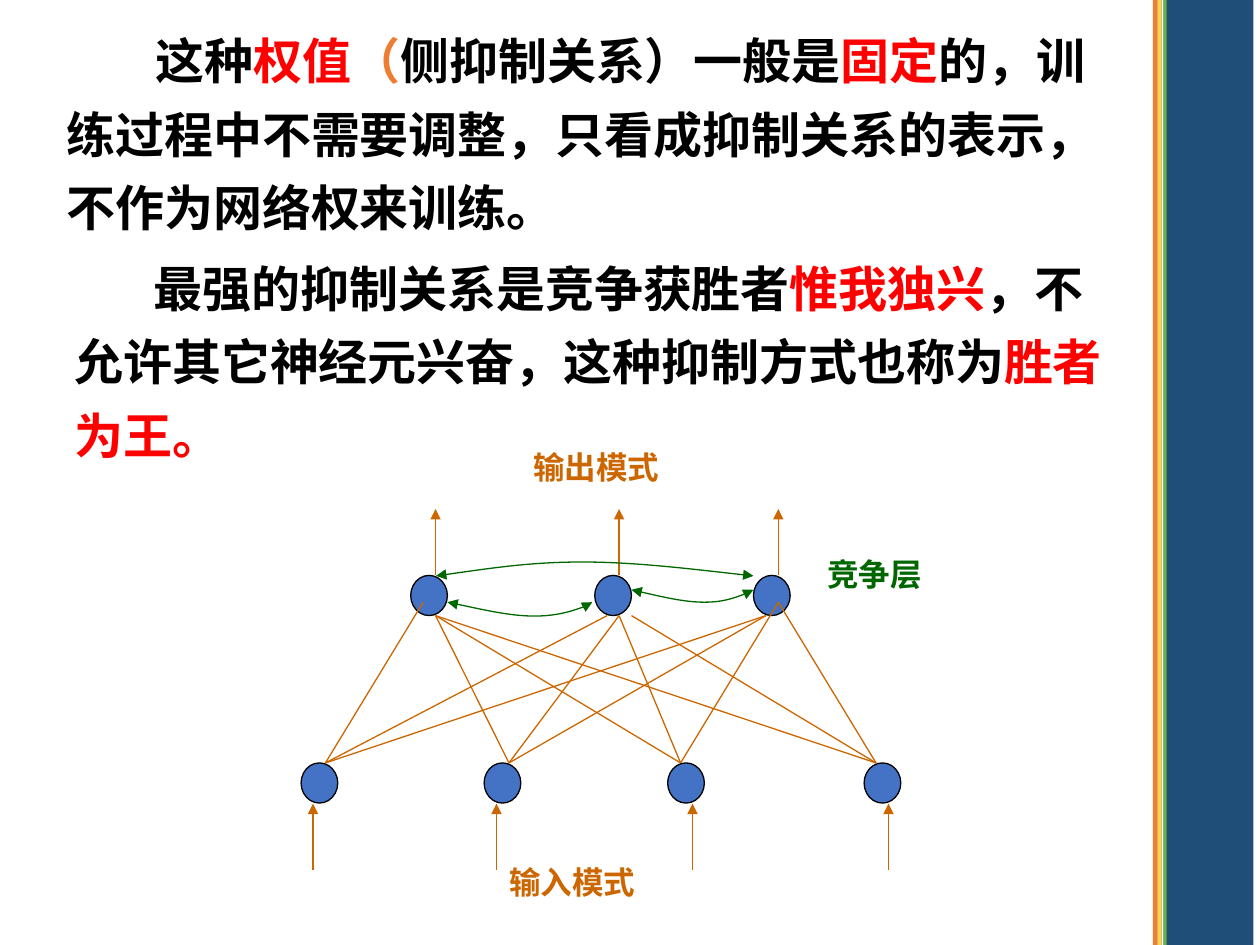
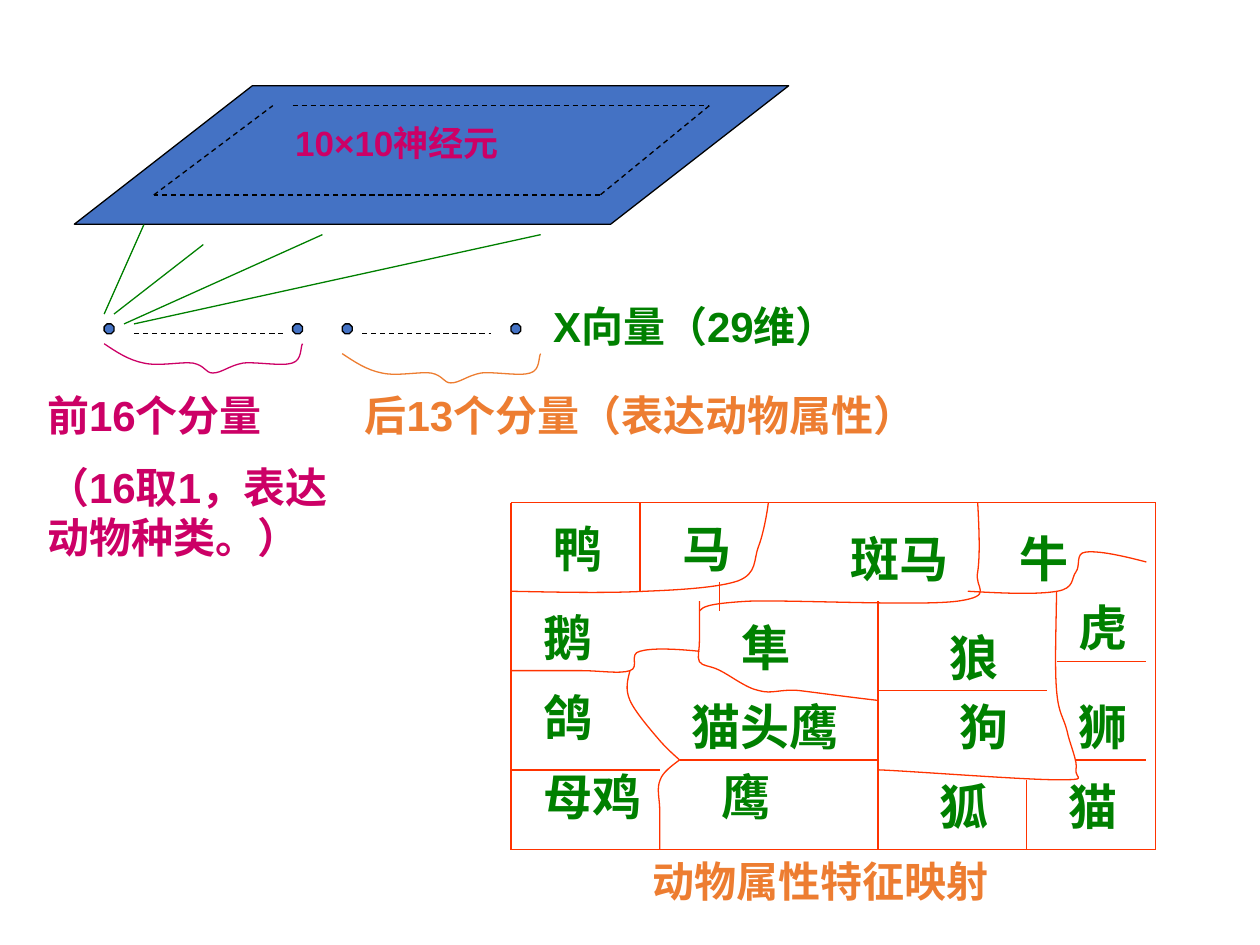
from dataclasses import dataclass
from itertools import pairwise

from pptx import Presentation
from pptx import util as u
from pptx.dml.color import RGBColor
from pptx.enum import dml, shapes, text
from pptx.oxml.ns import qn
from lxml import etree

# Shared colours, fonts and formats
BLACK, WHITE, RED, ORANGE = "000000", "FFFFFF", "FF0000", "ED7D31"
BLUE, BROWN, LEAF, GREEN = "4472C4", "CC6600", "006600", "008000"
PINK, BORDER = "CC0066", "FF3300"
LATIN, CJK = "Arial", "Noto Sans CJK SC"
LINE_WIDTH = u.Pt(0.75)

Point = tuple[float, float]


@dataclass
class Span:
    words: str
    color: str


@dataclass
class Label:
    words: str
    left: float
    top: float
    width: float
    size: int
    color: str
    height: float = 1.27


@dataclass
class Body:
    left: float
    top: float
    width: float
    indent: float
    spans: list[Span]


@dataclass
class Band:
    left: float
    width: float
    color: str


@dataclass
class Curve:
    points: list[Point]
    color: str
    arrows: tuple[str, ...] = ()


def rgb(value: str) -> RGBColor:
    return RGBColor.from_string(value)


# Drawing functions, all lengths in centimetres
def add_span(para, words: str, size: int, color: str, font: str) -> None:
    span = para.add_run()
    span.text = words
    for name, value in {"size": u.Pt(size), "bold": True, "name": font}.items():
        setattr(span.font, name, value)
    span.font.color.rgb = rgb(color)
    etree.SubElement(span.font._element, qn("a:ea")).set("typeface", CJK)


def add_box(page, left: float, top: float, width: float, height: float):
    box = page.shapes.add_textbox(u.Cm(left), u.Cm(top), u.Cm(width), u.Cm(height))
    frame = box.text_frame
    for name, value in {"word_wrap": True,
                        "auto_size": text.MSO_AUTO_SIZE.SHAPE_TO_FIT_TEXT}.items():
        setattr(frame, name, value)
    return frame


def draw_label(page, label: Label) -> None:
    frame = add_box(page, label.left, label.top, label.width, label.height)
    for number, words in enumerate(label.words.split("\n")):
        para = frame.add_paragraph() if number else frame.paragraphs[0]
        if number:
            para.space_before = u.Pt(label.size / 2)
        add_span(para, words, label.size, label.color, LATIN)


def draw_body(page, body: Body) -> None:
    para = add_box(page, body.left, body.top, body.width, 4.75).paragraphs[0]
    para.line_spacing = 1.25
    props = para._p.get_or_add_pPr()
    props.set("marL", "0")
    props.set("indent", str(u.Cm(body.indent)))
    for span in body.spans:
        add_span(para, span.words, 28, span.color, CJK)


def draw_shape(page, kind, left: float, top: float, width: float, height: float,
               fill: str, outline: str | None = None):
    shape = page.shapes.add_shape(kind, u.Cm(left), u.Cm(top), u.Cm(width), u.Cm(height))
    shape.shadow.inherit = False
    shape.fill.solid()
    shape.fill.fore_color.rgb = rgb(fill)
    if outline:
        style_line(shape, outline)
    else:
        shape.line.fill.background()
    return shape


def style_line(shape, color: str, arrows: tuple[str, ...] = (), dashed: bool = False) -> None:
    shape.line.width = LINE_WIDTH
    shape.line.color.rgb = rgb(color)
    if dashed:
        shape.line.dash_style = dml.MSO_LINE.DASH
    outline = shape._element.spPr.find(qn("a:ln"))
    for end in arrows:
        etree.SubElement(outline, qn(f"a:{end}")).set("type", "triangle")


def draw_line(page, start: Point, stop: Point, color: str,
              arrows: tuple[str, ...] = (), dashed: bool = False) -> None:
    ends = [u.Cm(value) for value in (*start, *stop)]
    line = page.shapes.add_connector(shapes.MSO_CONNECTOR.STRAIGHT, *ends)
    style_line(line, color, arrows, dashed)
    etree.SubElement(line._element.spPr, qn("a:effectLst"))


def draw_curve(page, curve: Curve) -> None:
    """Draw joined cubic curves: a start, then three points per part."""
    start, *rest = [(u.Cm(x), u.Cm(y)) for x, y in curve.points]
    builder = page.shapes.build_freeform(*start)
    builder.add_line_segments(rest, close=False)
    shape = builder.convert_to_shape()
    # Every three straight steps become one cubic step
    steps = list(shape._element.spPr.iter(qn("a:lnTo")))
    for first in range(0, len(steps), 3):
        cubic = etree.Element(qn("a:cubicBezTo"))
        steps[first].addprevious(cubic)
        for step in steps[first:first + 3]:
            cubic.append(step[0])
            step.getparent().remove(step)
    shape.shadow.inherit = False
    shape.fill.background()
    style_line(shape, curve.color, curve.arrows)


# Slide 1: competitive layer
BODIES = [
    Body(1.25, 4.79, 21.72, 1.6, [
        Span("最强的抑制关系是竞争获胜者", BLACK), Span("惟我独兴", RED),
        Span("，不允许其它神经元兴奋，这种抑制方式也称为", BLACK), Span("胜者为王。", RED)]),
    Body(1.09, 0.2, 21.92, 1.8, [
        Span("这种", BLACK), Span("权值", RED), Span("（", ORANGE),
        Span("侧抑制关系）一般是", BLACK), Span("固定", RED),
        Span("的，训练过程中不需要调整，只看成抑制关系的表示，不作为网络权来训练。", BLACK)]),
]
BANDS = [Band(23.34, 1.93, "1F4E79"), Band(23.24, 0.1, ORANGE), Band(23.34, 0.08, "FFD347"),
         Band(23.42, 0.1, "70AD47"), Band(23.42, 0.03, WHITE)]
NEURON_W, NEURON_H = 0.74, 0.81
OUT_TOP, IN_TOP = 11.6, 15.38
OUT_BASE = OUT_TOP + NEURON_H
OUT_NEURONS, IN_NEURONS = (8.28, 11.99, 15.19), (6.07, 9.76, 13.46, 17.42)
OUT_ARROWS, IN_ARROWS = (8.78, 12.48, 15.69), (6.31, 10.01, 13.96, 17.91)
LEFT, MIDDLE = [(x, OUT_BASE) for x in OUT_ARROWS[:2]]
RIGHT, RIGHT_INNER = (15.44, OUT_BASE), (15.69, 12.14)
WEIGHTS = {
    6.56: [(8.53, 12.14), RIGHT, (12.24, OUT_BASE)],
    10.26: [MIDDLE, RIGHT, LEFT],
    13.72: [RIGHT_INNER, MIDDLE, LEFT],
    17.66: [RIGHT_INNER, (12.73, OUT_BASE), LEFT],
}
INHIBITIONS = [
    [(8.79, 11.61), (9.73, 11.48), (10.67, 11.33), (11.73, 11.33),
     (12.8, 11.33), (14, 11.48), (15.19, 11.61)],
    [(12.73, 11.89), (13.26, 12.01), (13.79, 12.14), (14.2, 12.14),
     (14.61, 12.14), (15.24, 11.91), (15.19, 11.89)],
    [(9.02, 12.14), (9.65, 12.27), (10.29, 12.42), (10.77, 12.42),
     (11.25, 12.42), (11.99, 12.19), (11.94, 12.14)],
]
LAYER_LABELS = [
    Label("输入模式", 10.02, 17.27, 5.92, 18, BROWN),
    Label("输出模式", 10.5, 8.91, 3.94, 18, BROWN),
    Label("竞争层", 16.43, 11.07, 3.71, 18, LEAF),
]


def build_competition(page) -> None:
    for body in BODIES:
        draw_body(page, body)
    for band in BANDS:
        draw_shape(page, shapes.MSO_SHAPE.RECTANGLE, band.left, 0, band.width, 19.05, band.color)
    for row, top in ((OUT_NEURONS, OUT_TOP), (IN_NEURONS, IN_TOP)):
        for left in row:
            draw_shape(page, shapes.MSO_SHAPE.OVAL, left, top, NEURON_W, NEURON_H, BLUE, BLACK)
    for foot, heads in WEIGHTS.items():
        for head in heads:
            draw_line(page, (foot, IN_TOP), head, BROWN)
    for columns, low, high in ((IN_ARROWS, 17.53, 16.2), (OUT_ARROWS, OUT_TOP, 10.26)):
        for x in columns:
            draw_line(page, (x, low), (x, high), BROWN, ("tailEnd",))
    for points in INHIBITIONS:
        draw_curve(page, Curve(points, LEAF, ("headEnd", "tailEnd")))
    for label in LAYER_LABELS:
        draw_label(page, label)


# Slide 2: animal feature map
INNER_GRID = [(5.9, 2.13), (14.3, 2.13), (12.1, 3.93), (3.1, 3.93), (5.5, 2.13)]
VECTOR_DOTS = (2.1, 5.9, 6.9, 10.3)
VECTOR_GAPS = [(2.7, 5.7), (7.3, 9.9)]
VECTOR_LINKS = [((2.1, 6.33), (2.9, 4.53)), ((2.3, 6.33), (4.1, 4.93)),
                ((2.5, 6.53), (6.5, 4.73)), ((2.7, 6.53), (10.9, 4.73))]
BRACE = [(2.1, 6.93), (2.34, 7.09), (2.59, 7.26), (2.9, 7.32), (3.2, 7.39), (3.66, 7.29),
         (3.89, 7.32), (4.14, 7.37), (4.14, 7.52), (4.29, 7.52), (4.47, 7.52), (4.62, 7.37),
         (4.9, 7.32), (5.16, 7.29), (5.69, 7.39), (5.89, 7.32), (6.1, 7.26), (6.05, 6.99),
         (6.1, 6.93)]
MAP_LABELS = [
    Label("10×10神经元", 5.7, 2.32, 6.4, 20, PINK),
    Label("X向量（29维）", 10.9, 5.93, 7.01, 24, GREEN),
    Label("前16个分量\n（16取1，表达动物种类。）", 0.7, 7.73, 6.6, 24, PINK, 3.81),
    Label("后13个分量（表达动物属性）", 7.1, 7.73, 12.4, 24, ORANGE),
    Label("动物属性特征映射", 12.9, 17.12, 8.41, 24, ORANGE),
]
ANIMALS = [
    ("鸭", 10.9, 10.32, 1.4), ("鹅", 10.7, 12.12, 1.6), ("鸽", 10.7, 13.73, 2.6),
    ("母鸡", 10.7, 15.33, 2.6), ("马", 13.5, 10.32, 2), ("斑马", 16.9, 10.52, 3.4),
    ("牛", 20.3, 10.52, 1.8), ("隼", 14.7, 12.32, 2.8), ("狼", 18.9, 12.52, 1.8),
    ("虎", 21.5, 11.92, 1.6), ("狮", 21.5, 13.92, 1.8), ("猫", 21.3, 15.52, 1.8),
    ("狗", 19.1, 13.92, 1.4), ("狐", 18.7, 15.52, 2.2), ("猫头鹰", 13.7, 13.92, 3.8),
    ("鹰", 14.3, 15.32, 3),
]
MAP_LEFT, MAP_TOP, MAP_RIGHT, MAP_BOTTOM = 10.3, 10.13, 23.3, 17.13
MAP_FRAME = [(MAP_LEFT, MAP_TOP), (MAP_RIGHT, MAP_TOP), (MAP_RIGHT, MAP_BOTTOM),
             (MAP_LEFT, MAP_BOTTOM), (MAP_LEFT, MAP_TOP)]
STRAIGHT_BORDERS = [
    ((12.9, MAP_TOP), (12.9, 11.92)), ((14.5, 11.73), (14.5, 12.32)),
    ((17.7, 12.12), (17.7, MAP_BOTTOM)), ((17.7, 13.92), (21.1, 13.92)),
    ((20.7, 15.72), (20.7, MAP_BOTTOM)), ((21.7, 15.32), (23.1, 15.32)),
    ((21.3, 13.33), (23.1, 13.33)), ((17.7, 15.32), (13.7, 15.32)),
    ((MAP_LEFT, 15.52), (13.3, 15.52)),
]
CURVED_BORDERS = [
    [(10.3, 11.92), (11.28, 11.94), (12.24, 11.96), (13, 11.92), (13.77, 11.89), (14.5, 11.84),
     (14.88, 11.71), (15.27, 11.56), (15.19, 11.28), (15.29, 11.02), (15.39, 10.77),
     (15.47, 10.31), (15.49, 10.13)],
    [(14.1, 12.32), (14.17, 12.24), (14.22, 12.17), (15.09, 12.12), (15.95, 12.09),
     (18.54, 12.22), (19.3, 12.12), (20.07, 12.01), (19.63, 11.86), (19.71, 11.53),
     (19.76, 11.2), (19.74, 10.67), (19.71, 10.13)],
    [(23.11, 11.33), (22.61, 11.2), (22.15, 11.1), (21.89, 11.13), (21.67, 11.15), (21.79, 11.4),
     (21.69, 11.53), (21.59, 11.66), (21.67, 11.86), (21.31, 11.92), (20.9, 11.99),
     (20.22, 11.96), (19.51, 11.92)],
    [(21.3, 11.92), (21.29, 12.7), (21.26, 13.46), (21.3, 13.92), (21.34, 14.4), (21.44, 14.45),
     (21.51, 14.73), (21.56, 14.99), (21.74, 15.37), (21.69, 15.52), (21.67, 15.7),
     (21.97, 15.72), (21.31, 15.72), (20.62, 15.72), (18.29, 15.54), (17.7, 15.52)],
    [(14.1, 12.12), (14.1, 12.42), (14.1, 12.73), (14.1, 12.93), (14.1, 13.13), (14.05, 13.23),
     (14.1, 13.34), (14.17, 13.44), (14.3, 13.41), (14.5, 13.51), (14.71, 13.61), (15.04, 13.87),
     (15.29, 13.92), (15.57, 14), (15.7, 13.89), (16.1, 13.92), (16.51, 13.97), (17.09, 14.05),
     (17.7, 14.12)],
    [(14.1, 13.13), (13.61, 13.08), (13.13, 13.06), (12.9, 13.13), (12.67, 13.18), (12.9, 13.46),
     (12.7, 13.52), (12.5, 13.59), (12.09, 13.52), (11.71, 13.52), (11.3, 13.52), (10.8, 13.52),
     (10.3, 13.52)],
    [(12.7, 13.52), (12.65, 13.72), (12.6, 13.89), (12.7, 14.12), (12.8, 14.35), (13.13, 14.73),
     (13.31, 14.94), (13.46, 15.11), (13.59, 15.22), (13.7, 15.32)],
    [(13.7, 15.32), (13.54, 15.44), (13.36, 15.57), (13.31, 15.72), (13.23, 15.9), (13.3, 16.1),
     (13.3, 16.33), (13.3, 16.56), (13.3, 16.84), (13.3, 17.13)],
]


def build_feature_map(page) -> None:
    # Neuron sheet and input vector
    sheet = draw_shape(page, shapes.MSO_SHAPE.PARALLELOGRAM, 1.5, 1.73, 14.4, 2.79, BLUE, BLACK)
    sheet.adjustments[0] = 1.286
    for start, stop in pairwise(INNER_GRID):
        draw_line(page, start, stop, BLACK, dashed=True)
    for left in VECTOR_DOTS:
        draw_shape(page, shapes.MSO_SHAPE.OCTAGON, left, 6.53, 0.2, 0.2, BLUE, BLACK)
    for start, stop in VECTOR_LINKS:
        draw_line(page, start, stop, GREEN)
    for left, right in VECTOR_GAPS:
        draw_line(page, (left, 6.73), (right, 6.73), BLACK, dashed=True)
    for color, dx, dy in ((PINK, 0, 0), (ORANGE, 4.8, 0.2)):
        draw_curve(page, Curve([(x + dx, y + dy) for x, y in BRACE], color))
    # Map borders and names
    for start, stop in [*pairwise(MAP_FRAME), *STRAIGHT_BORDERS]:
        draw_line(page, start, stop, BORDER)
    for points in CURVED_BORDERS:
        draw_curve(page, Curve(points, BORDER))
    animals = [Label(*animal, 28, GREEN, 1.45) for animal in ANIMALS]
    for label in MAP_LABELS + animals:
        draw_label(page, label)


def main() -> None:
    deck = Presentation()
    deck.slide_width, deck.slide_height = u.Cm(25.4), u.Cm(19.05)
    for build in (build_competition, build_feature_map):
        build(deck.slides.add_slide(deck.slide_layouts[6]))
    deck.save("out.pptx")


if __name__ == "__main__":
    main()
